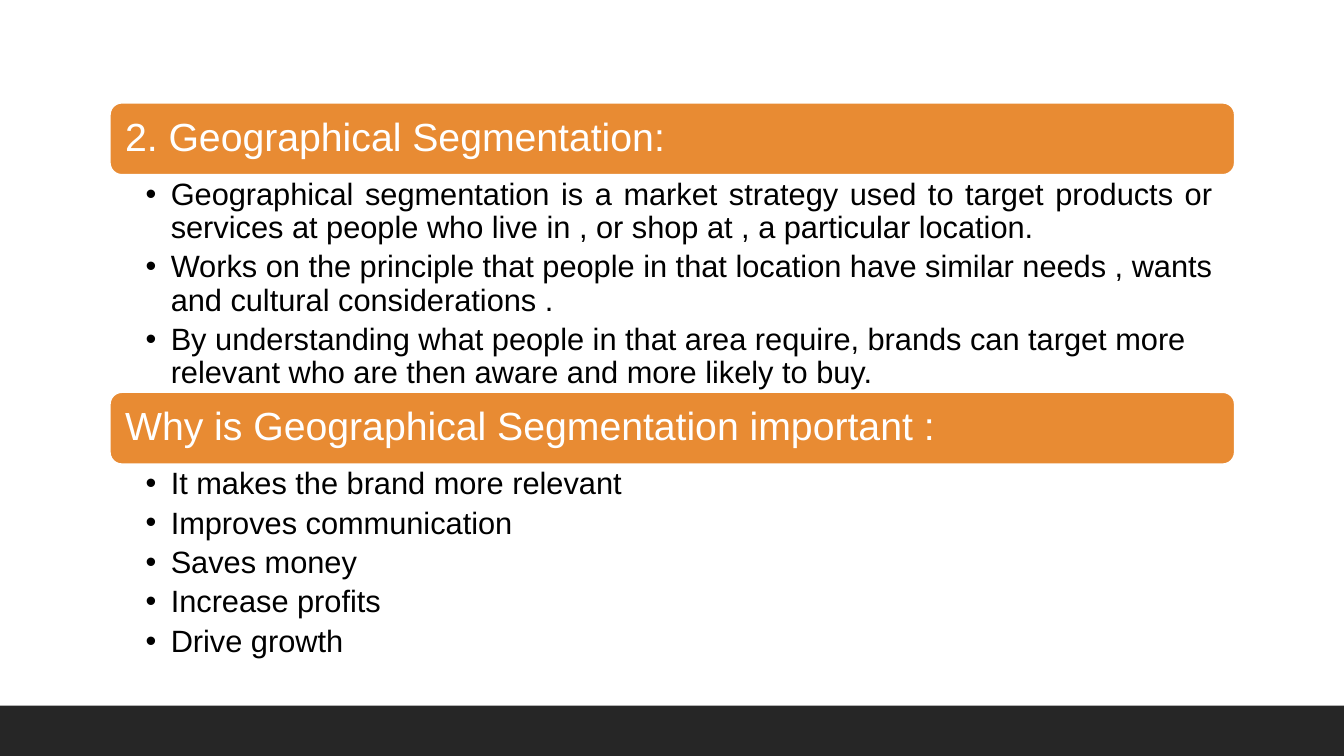
from pptx import Presentation
from pptx.dml.color import RGBColor
from pptx.enum.shapes import MSO_SHAPE as Shape
from pptx.enum.text import MSO_ANCHOR as Anchor, PP_ALIGN as Align
from pptx.oxml.ns import qn
from pptx.util import Pt
from lxml.etree import SubElement

SECTIONS = [
    ("2. Geographical Segmentation:", 73.4, 155.5, [
        ("Geographical segmentation is a market strategy used to target products or services at people who live in , or shop at , a particular location.", Align.JUSTIFY),
        ("Works on the principle that people in that location have similar needs , wants and cultural considerations .", Align.LEFT),
        ("By understanding what people in that area require, brands can target more relevant who are then aware and more likely to buy.", Align.LEFT),
    ]),
    ("Why is Geographical Segmentation important :", 280.1, 139, [
        ("It makes the brand more relevant", Align.LEFT),
        ("Improves communication", Align.LEFT),
        ("Saves money", Align.LEFT),
        ("Increase profits", Align.LEFT),
        ("Drive growth", Align.LEFT),
    ]),
]
SLIDE_W, SLIDE_H, FOOTER_H = 960, 540, 36
LEFT, WIDTH, HEADING_H = 78.5, 803.5, 51.5
BULLET_INDENT = 18


def color(value):
    return RGBColor.from_string(value)


def add_panel(slide, kind, box, fill):
    panel = slide.shapes.add_shape(kind, *map(Pt, box))
    panel.shadow.inherit = False
    panel.fill.solid()
    panel.fill.fore_color.rgb = color(fill)
    panel.line.fill.background()
    return panel


def set_insets(frame, left, top, right, bottom):
    frame.word_wrap = True
    frame.margin_left, frame.margin_top = Pt(left), Pt(top)
    frame.margin_right, frame.margin_bottom = Pt(right), Pt(bottom)


def format_paragraph(paragraph, size, ink, align, space_after):
    paragraph.alignment = align
    paragraph.line_spacing = 0.9
    paragraph.space_after = Pt(space_after)
    for run in paragraph.runs:
        run.font.name = "Arial"
        run.font.size = Pt(size)
        run.font.color.rgb = color(ink)


def add_bullet(paragraph):
    props = paragraph._p.get_or_add_pPr()
    props.set("marL", str(Pt(BULLET_INDENT)))
    props.set("indent", str(-Pt(BULLET_INDENT)))
    SubElement(props, qn("a:buFont")).set("typeface", "Arial")
    SubElement(props, qn("a:buChar")).set("char", "•")


def add_heading(slide, text, top):
    heading = add_panel(slide, Shape.ROUNDED_RECTANGLE, (LEFT, top, WIDTH, HEADING_H), "E88B33")
    heading.line.color.rgb = color("FFFFFF")
    heading.line.width = Pt(1.25)
    frame = heading.text_frame
    set_insets(frame, 8.4, 8.4, 8.4, 8.4)
    frame.vertical_anchor = Anchor.MIDDLE
    frame.text = text
    format_paragraph(frame.paragraphs[0], 28, "FFFFFF", Align.LEFT, 0)


def add_points(slide, points, top, height):
    frame = slide.shapes.add_textbox(*map(Pt, (LEFT, top, WIDTH, height))).text_frame
    set_insets(frame, 25.5, 2.8, 15.6, 2.8)
    frame.text = "\n".join(text for text, _ in points)
    for paragraph, (_, align) in zip(frame.paragraphs, points):
        format_paragraph(paragraph, 22, "000000", align, 4.4)
        add_bullet(paragraph)


def main():
    deck = Presentation()
    deck.slide_width, deck.slide_height = Pt(SLIDE_W), Pt(SLIDE_H)
    slide = deck.slides.add_slide(deck.slide_layouts[6])
    add_panel(slide, Shape.RECTANGLE, (0, SLIDE_H - FOOTER_H, SLIDE_W, FOOTER_H), "262626")
    for heading, top, points_height, points in SECTIONS:
        add_heading(slide, heading, top)
        add_points(slide, points, top + HEADING_H, points_height)
    deck.save("out.pptx")


if __name__ == "__main__":
    main()
